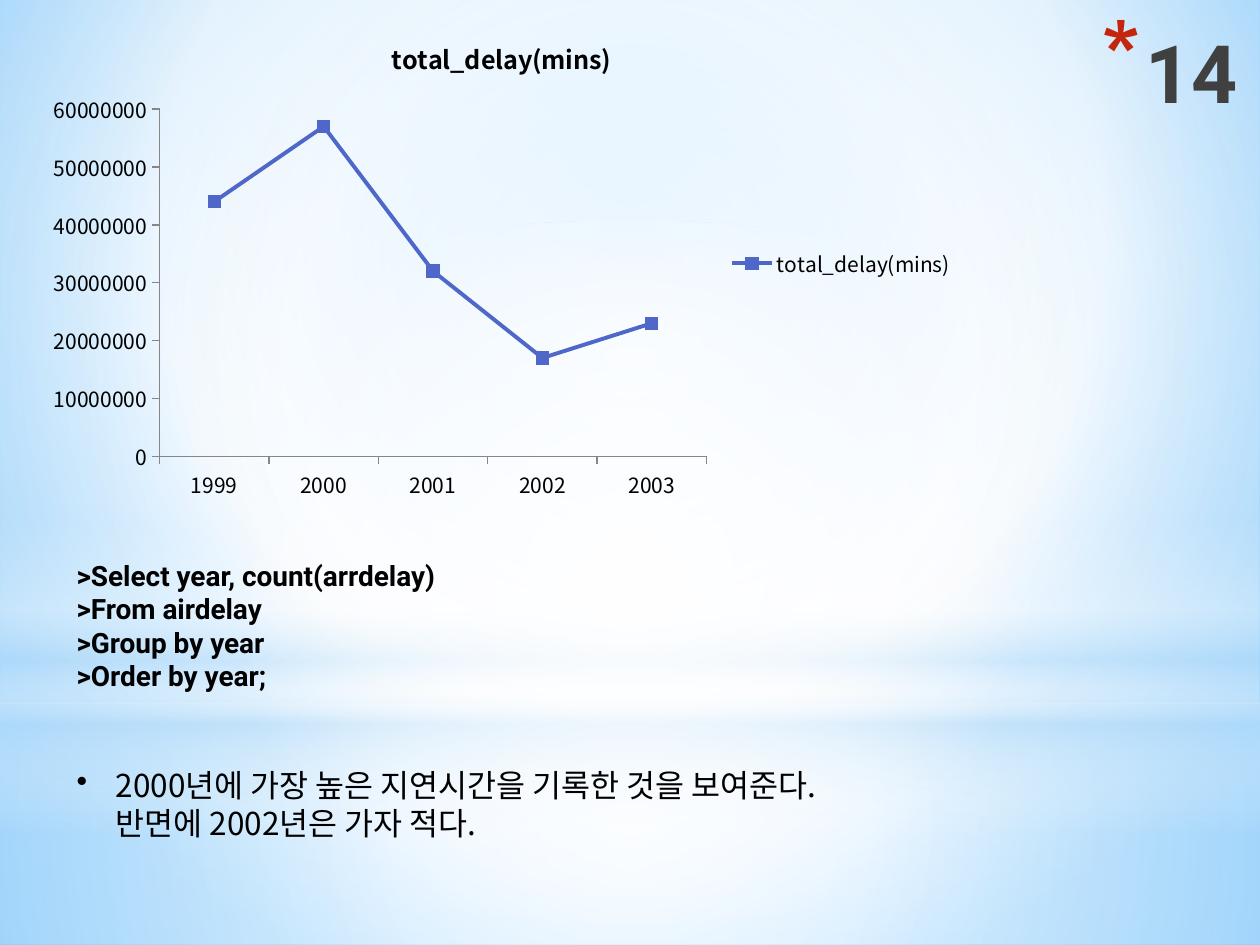
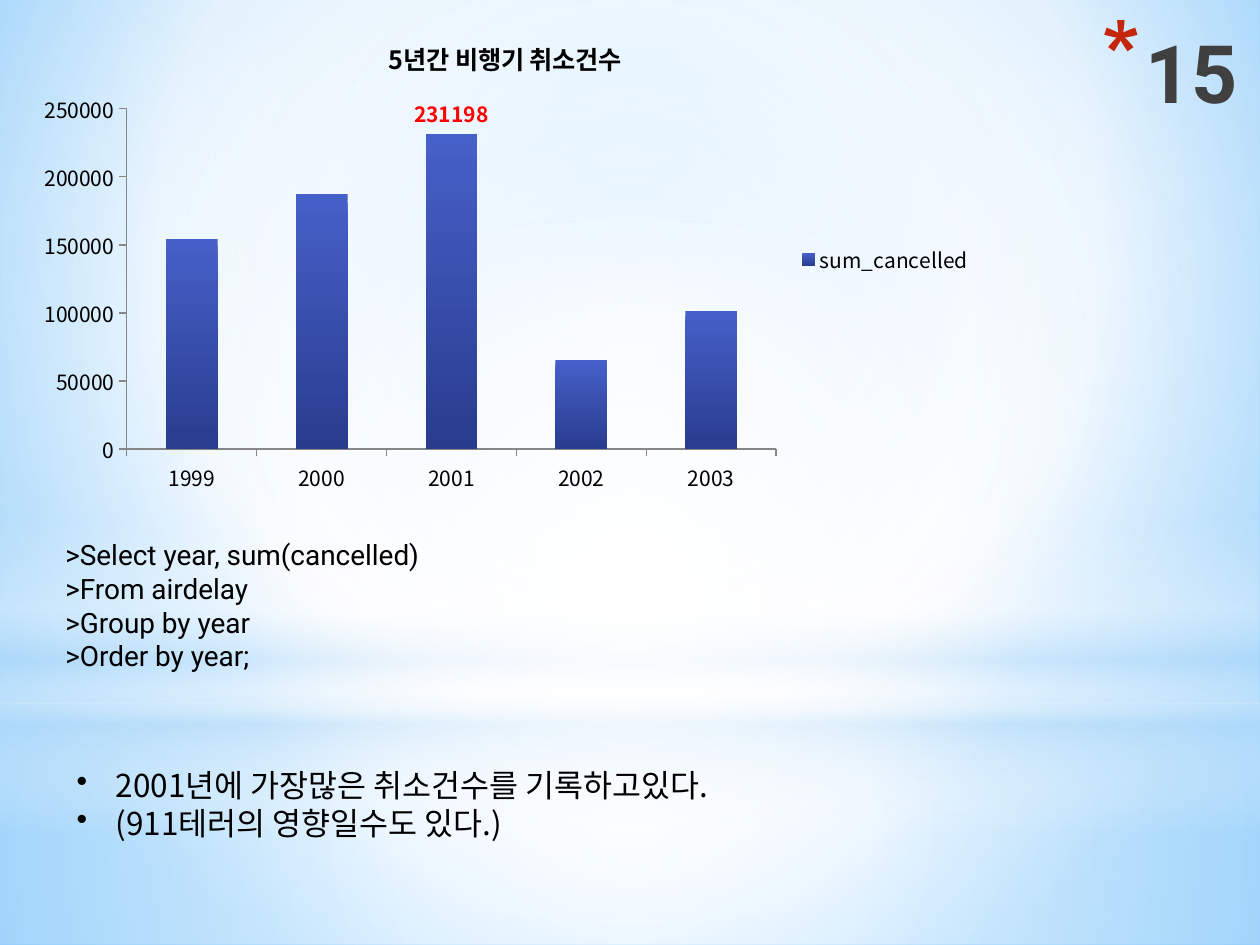
import pptx
import pptx.chart.data
import pptx.dml.color
import pptx.enum.chart
import pptx.enum.shapes
import pptx.enum.text
import pptx.oxml
import pptx.oxml.ns
import pptx.util
from dataclasses import dataclass

Inches = pptx.util.Inches
Pt = pptx.util.Pt
Kind = pptx.enum.chart.XL_CHART_TYPE
Form = pptx.enum.shapes.MSO_SHAPE
NS = 'xmlns:a="http://schemas.openxmlformats.org/drawingml/2006/main"'
MID = (50, 50, 50, 50)


@dataclass(frozen=True)
class Theme:
    ink: str = "000000"
    blue: str = "4E67C8"
    red: str = "FF0000"
    star: str = "C3260C"
    grid: str = "868686"
    head: str = "Roboto"
    body: str = "Noto Sans CJK KR"
    title: float = 46
    note: float = 18
    code: float = 16
    name: float = 14.4
    label: float = 12
    sky: tuple = ((0, "9ED5FF", 100), (60, "FFFFFF", 100), (100, "5BB9FF", 100))
    floor: tuple = ((0, "FFFFFF", 91), (37, "FFFFFF", 76), (100, "B4DCFA", 79))
    wall: tuple = ((0, "FFFFFF", 89), (48, "FFFFFF", 62), (100, "B4DCFA", 79))
    haze: tuple = ((0, "FFFFFF", 0), (29, "FFFFFF", 30), (45, "B4DCFA", 40),
                   (55, "FFFFFF", 26), (65, "B4DCFA", 60), (100, "FFFFFF", 0))
    glow: tuple = ((0, "FFFFFF", 100), (56, "FFFFFF", 0))
    steel: tuple = ((0, "000000", 100), (40, "404040", 100), (100, "212745", 65))
    bar: tuple = ((0, "4660C9", 100), (100, "293C8E", 100))


T = Theme()


def put(item, vals):
    for key, val in vals.items():
        setattr(item, key, val)


def tint(hue):
    return pptx.dml.color.RGBColor.from_string(hue)


def span(box):
    return [Inches(val) for val in box]


def shade(root, stops, focus=None):
    marks = "".join(
        f'<a:gs pos="{pos * 1000}"><a:srgbClr val="{hue}">'
        f'<a:alpha val="{clear * 1000}"/></a:srgbClr></a:gs>'
        for pos, hue, clear in stops)
    way = '<a:lin ang="5400000" scaled="0"/>'
    if focus:
        edge = " ".join(f'{side}="{val * 1000}"' for side, val in zip("ltrb", focus))
        way = f'<a:path path="circle"><a:fillToRect {edge}/></a:path>'
    old = root.find(".//" + pptx.oxml.ns.qn("a:solidFill"))
    old.getparent().replace(old, pptx.oxml.parse_xml(
        f'<a:gradFill {NS} rotWithShape="1"><a:gsLst>{marks}</a:gsLst>{way}</a:gradFill>'))


def style(run, face, size, bold=False):
    put(run.font, {"name": face, "size": Pt(size), "bold": bold})
    run.font.color.rgb = tint(T.ink)
    latin = run.font._element.find(pptx.oxml.ns.qn("a:latin"))
    latin.addnext(pptx.oxml.parse_xml(f'<a:ea {NS} typeface="{face}"/>'))


def bullet(para, mark, hang, extra=()):
    props = para._p.get_or_add_pPr()
    props.set("marL", str(Inches(hang)))
    props.set("indent", str(-Inches(hang)))
    for part in (*extra, f'<a:buChar {NS} char="{mark}"/>'):
        props.append(pptx.oxml.parse_xml(part))


def write(slide, box, lines, face, size, bold=False):
    frame = slide.shapes.add_textbox(*span(box)).text_frame
    put(frame, {"word_wrap": True,
                "vertical_anchor": pptx.enum.text.MSO_ANCHOR.TOP})
    for num, line in enumerate(lines):
        para = frame.add_paragraph() if num else frame.paragraphs[0]
        run = para.add_run()
        run.text = line
        style(run, face, size, bold)
    return frame.paragraphs


def back(slide, box):
    slide.background.fill.solid()
    shade(slide._element, T.sky, (20, 10, 20, 60))
    left, top, wide, _ = box
    for form, drop, high, stops, focus in (
            (Form.RECTANGLE, 5.58, 1.92, T.floor, MID),
            (Form.RECTANGLE, 0, 5.58, T.wall, MID),
            (Form.RECTANGLE, 4.12, 2.5, T.haze, None),
            (Form.OVAL, 1.75, 5.58, T.glow, MID)):
        band = slide.shapes.add_shape(form, *span((left, top + drop, wide, high)))
        band.shadow.inherit = False
        band.line.fill.background()
        band.fill.solid()
        shade(band._element.spPr, stops, focus)


def title(slide, box, text):
    para = write(slide, box, [text], T.head, T.title, True)[0]
    para.alignment = pptx.enum.text.PP_ALIGN.RIGHT
    bullet(para, "*", 0.35, (
        f'<a:buClr {NS}><a:srgbClr val="{T.star}"/></a:buClr>',
        f'<a:buSzPct {NS} val="128000"/>'))
    shade(para.runs[0]._r, T.steel)


def notes(slide, box, lines):
    for para in write(slide, box, lines, T.body, T.note):
        bullet(para, "•", 0.31)


def graph(slide, box, kind, head, name, vals):
    data = pptx.chart.data.CategoryChartData()
    data.categories = ["1999", "2000", "2001", "2002", "2003"]
    data.add_series(name, vals)
    chart = slide.shapes.add_chart(kind, *span(box), data).chart
    put(chart.font, {"name": T.body, "size": Pt(T.label)})
    chart.font.color.rgb = tint(T.ink)
    run = chart.chart_title.text_frame.paragraphs[0].add_run()
    run.text = head
    style(run, T.body, T.name, True)
    chart.has_legend = True
    put(chart.legend, {"position": pptx.enum.chart.XL_LEGEND_POSITION.RIGHT,
                       "include_in_layout": False})
    for axis in (chart.category_axis, chart.value_axis):
        put(axis, {"major_tick_mark": pptx.enum.chart.XL_TICK_MARK.OUTSIDE,
                   "minor_tick_mark": pptx.enum.chart.XL_TICK_MARK.NONE,
                   "has_major_gridlines": axis is chart.value_axis})
        rules = [axis.format.line]
        if axis.has_major_gridlines:
            rules.append(axis.major_gridlines.format.line)
        for rule in rules:
            rule.color.rgb = tint(T.grid)
            rule.width = Pt(0.75)
    plot = chart.plots[0]
    plot.vary_by_categories = False
    return plot


def trend(slide, box, *facts):
    series = graph(slide, box, Kind.LINE_MARKERS, *facts).series[0]
    series.smooth = False
    series.format.line.color.rgb = tint(T.blue)
    series.format.line.width = Pt(2.25)
    mark = series.marker
    put(mark, {"style": pptx.enum.chart.XL_MARKER_STYLE.SQUARE, "size": 7})
    mark.format.fill.solid()
    mark.format.fill.fore_color.rgb = tint(T.blue)
    mark.format.line.color.rgb = tint(T.blue)


def bars(slide, box, *facts):
    plot = graph(slide, box, Kind.COLUMN_CLUSTERED, *facts)
    plot.gap_width = 150
    series = plot.series[0]
    series.format.fill.solid()
    shade(series._element.find(pptx.oxml.ns.qn("c:spPr")), T.bar)
    peak = series.points[2].data_label
    put(peak.font, {"name": T.body, "size": Pt(T.label), "bold": True})
    peak.font.color.rgb = tint(T.red)
    peak.position = pptx.enum.chart.XL_LABEL_POSITION.OUTSIDE_END


def query(slide, box, pick, bold):
    lines = [f">Select year, {pick}", ">From airdelay", ">Group by year", ">Order by year;"]
    write(slide, box, lines, T.head, T.code, bold)


def page(deck, num):
    slide = deck.slides.add_slide(deck.slide_layouts[6])
    back(slide, (0, 0, 10, 7.5))
    title(slide, (2.8, 0.13, 7.12, 1.25), num)
    return slide


def main():
    deck = pptx.Presentation()
    put(deck, {"slide_width": Inches(10), "slide_height": Inches(7.5)})
    note = (0.51, 6.03, 6.27, 0.71)

    delay = page(deck, "14")
    notes(delay, note, ["2000년에 가장 높은 지연시간을 기록한 것을 보여준다. 반면에 2002년은 가자 적다."])
    trend(delay, (0.28, 0.13, 7.4, 3.92), "total_delay(mins)", "total_delay(mins)",
          (44000000, 57000000, 32000000, 17000000, 23000000))
    query(delay, (0.51, 4.38, 5, 1.18), "count(arrdelay)", True)

    cancel = page(deck, "15")
    bars(cancel, (0.2, 0.13, 7.62, 3.86), "5년간 비행기 취소건수", "sum_cancelled",
         (154311, 187490, 231198, 65143, 101469))
    query(cancel, (0.42, 4.22, 5, 1.18), "sum(cancelled)", False)
    notes(cancel, note, ["2001년에 가장많은 취소건수를 기록하고있다.", "(911테러의 영향일수도 있다.)"])

    deck.save("out.pptx")


if __name__ == "__main__":
    main()
